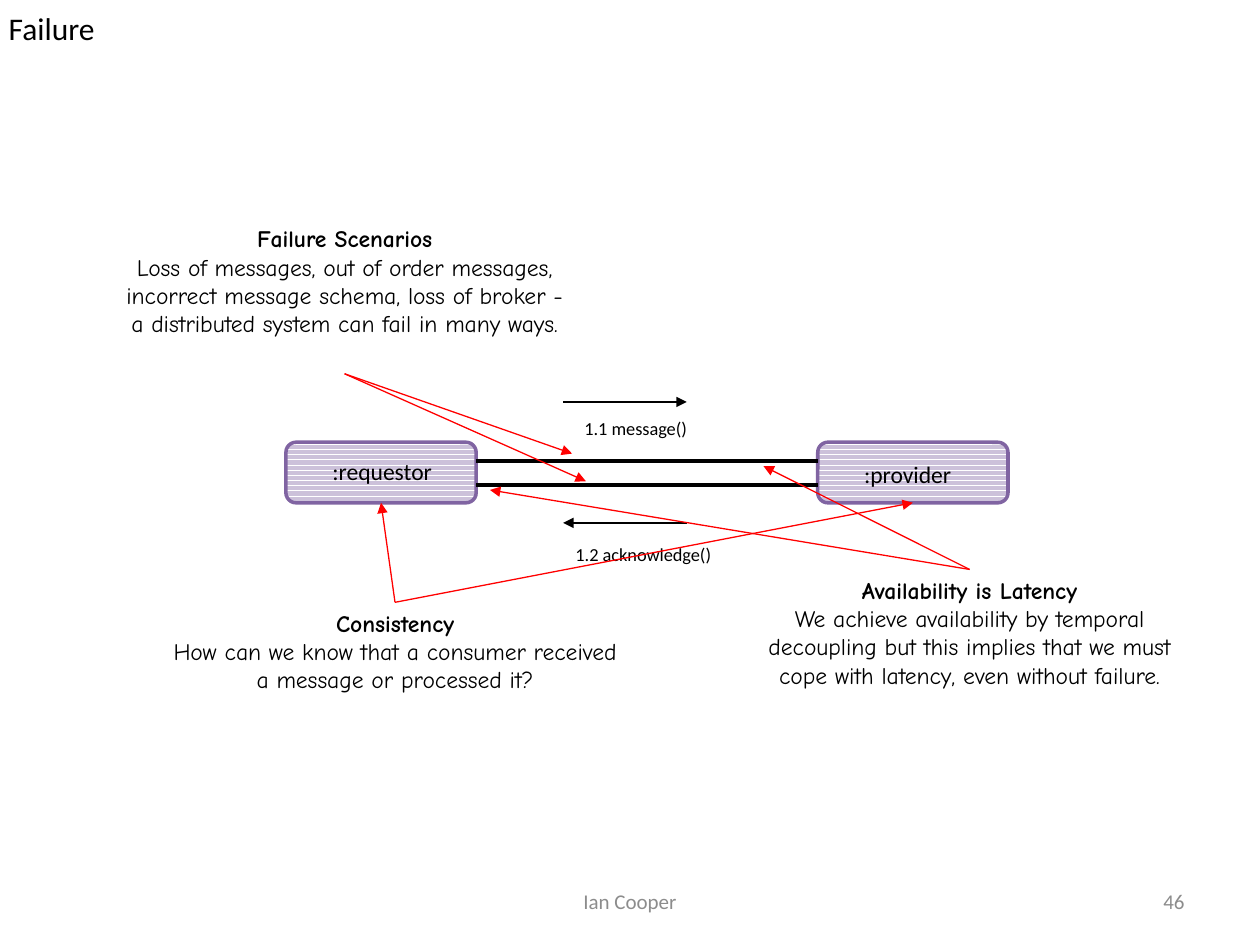
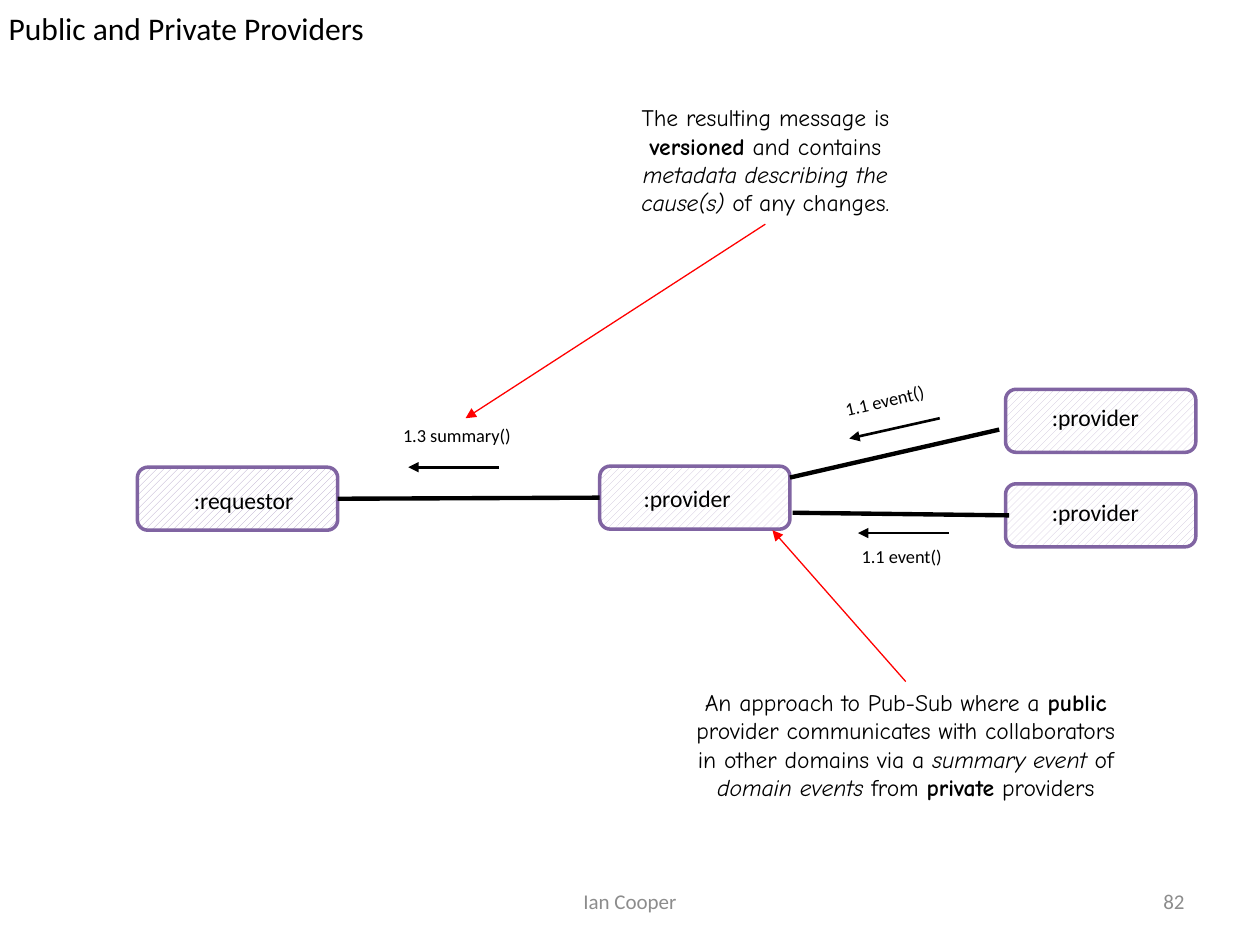
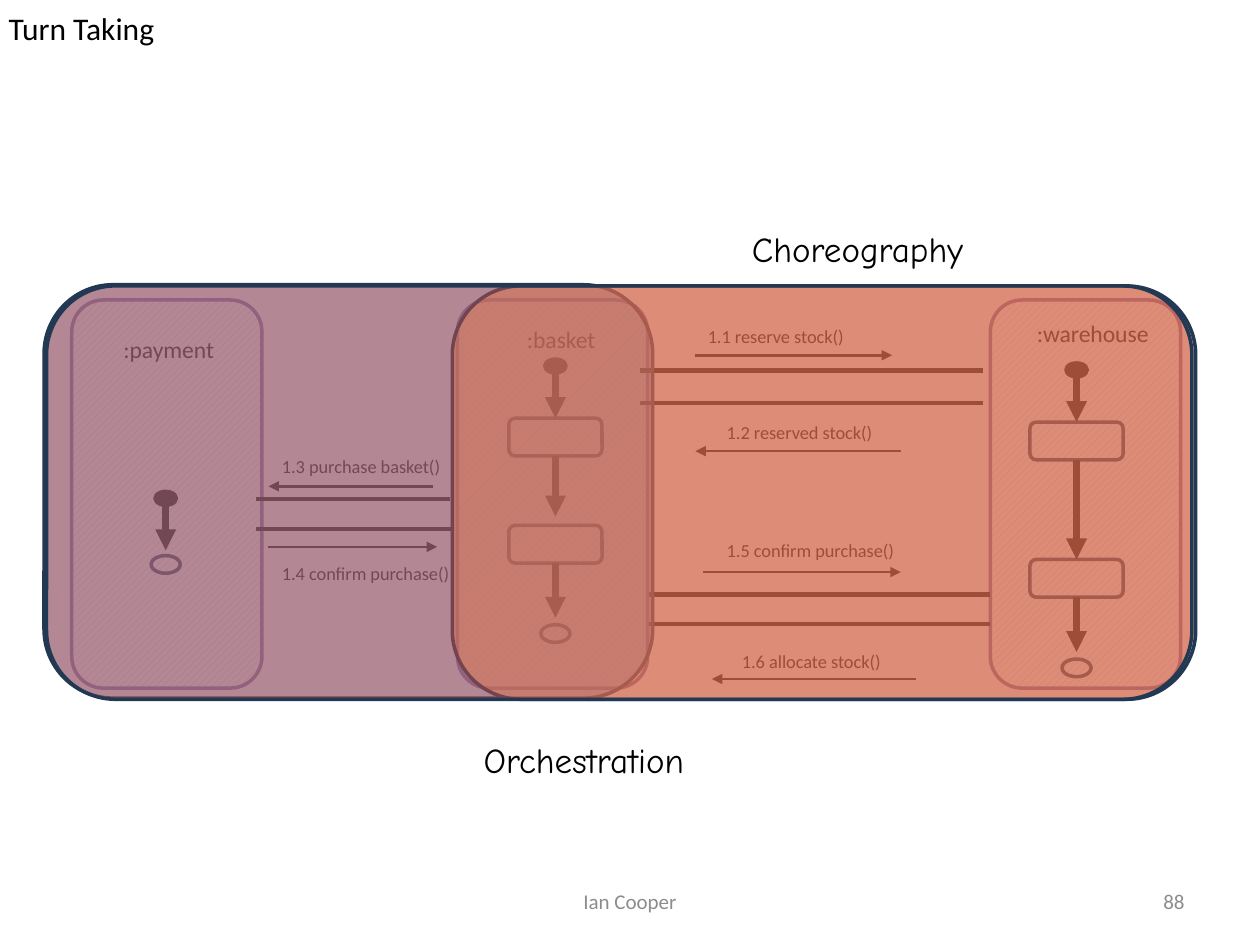
from dataclasses import dataclass
from typing import Any, NamedTuple, Optional, Union

from lxml.etree import SubElement
from pptx import Presentation
from pptx.dml.color import RGBColor
from pptx.enum.dml import MSO_PATTERN
from pptx.enum.shapes import MSO_CONNECTOR, MSO_SHAPE
from pptx.enum.text import MSO_ANCHOR, MSO_AUTO_SIZE, PP_ALIGN
from pptx.oxml.ns import qn
from pptx.util import Pt


@dataclass(frozen=True)
class Theme:
    font: str = "Calibri"
    note_font: str = "Comic Neue"
    black: str = "000000"
    grey: str = "8C8C8C"
    red: str = "FF0000"
    white: str = "FFFFFF"
    lilac: str = "CCC1DA"
    mid_lilac: str = "B3A2C7"
    purple: str = "8064A2"
    navy: str = "233953"
    blue: str = "4F81BD"
    orange: str = "F79646"
    brick: str = "C0504D"
    title_size: float = 18
    heading_size: float = 20
    body_size: float = 13.5
    footer_size: float = 12
    label_size: float = 10.5
    outline: float = 2
    link: float = 2.5
    message: float = 1.5
    pointer: float = 0.75
    flow: float = 4


T = Theme()
LABEL_H, NAME_H = 20.2, 23.8
NODE_W = 108.7
DOT, END, ACTION = (12.2, 7.9), (16.6, 10.1), (53.3, 21.6)
TOP, LEFT, BOTTOM, RIGHT = range(4)  # connection sites
STRIPES, HATCH = MSO_PATTERN.DARK_HORIZONTAL, MSO_PATTERN.WIDE_UPWARD_DIAGONAL


class Box(NamedTuple):
    x: float
    y: float
    w: float
    h: float


class Point(NamedTuple):
    x: float
    y: float


class Joint(NamedTuple):
    shape: Any
    site: int


class Run(NamedTuple):
    text: str
    bold: bool = False
    italic: bool = False


End = Union[Point, Joint]
Lines = list[list[Run]]


class Node(NamedTuple):
    name: str
    box: Box
    name_at: Box
    tint: str = T.lilac


class Message(NamedTuple):
    text: str
    at: Box
    start: Point
    end: Point
    turn: float = 0


class Activity(NamedTuple):
    centre: float
    start: float
    actions: tuple[float, ...]
    end: float
    gaps: tuple[float, ...]  # space left below each arrowhead


# ---- Formatting helpers ----

def rgb(color: str) -> RGBColor:
    return RGBColor.from_string(color)


def apply(obj: Any, values: dict[str, Any]) -> None:
    for name, value in values.items():
        setattr(obj, name, value)


def lengths(box: Box) -> list[Pt]:
    return [Pt(v) for v in box]


def write(tf: Any, lines: Lines, size: float, color: str = T.black,
          font: str = T.font, align: Optional[PP_ALIGN] = None) -> None:
    for i, runs in enumerate(lines):
        p = tf.add_paragraph() if i else tf.paragraphs[0]
        if align is not None:
            p.alignment = align
        for run in runs:
            r = p.add_run()
            r.text = run.text
            apply(r.font, {"name": font, "size": Pt(size),
                           "bold": run.bold, "italic": run.italic})
            r.font.color.rgb = rgb(color)


# ---- Drawing helpers ----

def text_box(s: Any, lines: Lines, box: Box, size: float, *, wrap: bool = True,
             grow: bool = True, anchor: MSO_ANCHOR = MSO_ANCHOR.TOP,
             **style: Any) -> Any:
    sp = s.shapes.add_textbox(*lengths(box))
    fit = MSO_AUTO_SIZE.SHAPE_TO_FIT_TEXT if grow else MSO_AUTO_SIZE.NONE
    apply(sp.text_frame, {"word_wrap": wrap, "auto_size": fit,
                          "vertical_anchor": anchor})
    write(sp.text_frame, lines, size, **style)
    return sp


def note(s: Any, lines: Lines, box: Box) -> Any:
    return text_box(s, lines, box, T.body_size, font=T.note_font,
                    align=PP_ALIGN.CENTER)


def heading(s: Any, text: str, x: float, y: float) -> None:
    text_box(s, [[Run(text)]], Box(x, y, 139, 31.7), T.heading_size,
             wrap=False, font=T.note_font)


def outlined(s: Any, kind: MSO_SHAPE, box: Box, line: str,
             fill: Optional[str] = None, opacity: int = 100,
             pattern: Optional[MSO_PATTERN] = None) -> Any:
    sp = s.shapes.add_shape(kind, *lengths(box))
    sp.shadow.inherit = False
    if fill is None:
        sp.fill.background()
    elif pattern is not None:
        sp.fill.patterned()
        sp.fill.pattern = pattern
        sp.fill.fore_color.rgb = rgb(fill)
        sp.fill.back_color.rgb = rgb(T.white)
    else:
        sp.fill.solid()
        sp.fill.fore_color.rgb = rgb(fill)
        if opacity < 100:
            clr = sp.element.spPr.find(qn("a:solidFill")).find(qn("a:srgbClr"))
            SubElement(clr, qn("a:alpha"), val=str(opacity * 1000))
    sp.line.color.rgb = rgb(line)
    sp.line.width = Pt(T.outline)
    return sp


def connect(s: Any, start: End, end: End, width: float,
            color: str = T.black, arrow: bool = True) -> None:
    a, b = (e if isinstance(e, Point) else Point(0, 0) for e in (start, end))
    c = s.shapes.add_connector(MSO_CONNECTOR.STRAIGHT, *map(Pt, (*a, *b)))
    if isinstance(start, Joint):
        c.begin_connect(*start)
    if isinstance(end, Joint):
        c.end_connect(*end)
    c.line.color.rgb = rgb(color)
    c.line.width = Pt(width)
    if arrow:
        SubElement(c.line._get_or_add_ln(), qn("a:tailEnd"), type="triangle")
    SubElement(c.element.spPr, qn("a:effectLst"))


def link(s: Any, start: End, end: End) -> None:
    connect(s, start, end, T.link, arrow=False)


def pointer(s: Any, start: End, end: End) -> None:
    connect(s, start, end, T.pointer, T.red)


def draw_node(s: Any, node: Node, pattern: MSO_PATTERN) -> Any:
    sp = outlined(s, MSO_SHAPE.ROUNDED_RECTANGLE, node.box, T.purple,
                  node.tint, pattern=pattern)
    text_box(s, [[Run(node.name)]], node.name_at, T.body_size)
    return sp


def draw_message(s: Any, m: Message) -> Any:
    connect(s, m.start, m.end, T.message)
    label = text_box(s, [[Run(m.text)]], m.at, T.label_size)
    label.rotation = m.turn
    return label


def draw_activity(s: Any, act: Activity) -> None:
    """Start dot, actions and end ring, with an arrow between neighbours."""
    def centred(top: float, size: tuple[float, float]) -> Box:
        return Box(act.centre - size[0] / 2, top, *size)

    outlined(s, MSO_SHAPE.OVAL, centred(act.start, DOT), T.black, T.black)
    actions = [outlined(s, MSO_SHAPE.ROUNDED_RECTANGLE, centred(top, ACTION), T.navy)
               for top in act.actions]
    outlined(s, MSO_SHAPE.OVAL, centred(act.end, END), T.navy)

    starts = [Point(act.centre, act.start + DOT[1])]
    starts += [Joint(a, BOTTOM) for a in actions]
    ends = [Joint(a, TOP) if gap == 0 else Point(act.centre, top - gap)
            for a, top, gap in zip(actions, act.actions, act.gaps)]
    ends.append(Point(act.centre, act.end - act.gaps[-1]))
    for start, end in zip(starts, ends):
        connect(s, start, end, T.flow)


def new_slide(prs: Any, title: str, number: int) -> Any:
    """Slide with the shared title, footer and page number."""
    s = prs.slides.add_slide(prs.slide_layouts[5])
    sp = s.shapes.title
    apply(sp, dict(zip(("left", "top", "width", "height"),
                       lengths(Box(0, 0, 720, 32.4)))))
    tf = sp.text_frame
    margins = ("margin_left", "margin_top", "margin_right", "margin_bottom")
    apply(tf, dict.fromkeys(margins, Pt(5)))
    apply(tf, {"vertical_anchor": MSO_ANCHOR.TOP, "word_wrap": True,
               "auto_size": MSO_AUTO_SIZE.SHAPE_TO_FIT_TEXT})
    write(tf, [[Run(title)]], T.title_size, align=PP_ALIGN.LEFT)

    for text, x, w, align in (("Ian Cooper", 246, 228, PP_ALIGN.CENTER),
                              (str(number), 516, 168, PP_ALIGN.RIGHT)):
        text_box(s, [[Run(text)]], Box(x, 500.5, w, 28.8), T.footer_size, grow=False,
                 anchor=MSO_ANCHOR.MIDDLE, color=T.grey, align=align)
    return s


# ---- Slides ----

def failure_slide(prs: Any) -> None:
    s = new_slide(prs, "Failure", 46)
    left, right, top = 163.4, 467.3, 252.7
    requestor, provider = (draw_node(s, n, STRIPES) for n in (
        Node(":requestor", Box(left, top, NODE_W, 34.6), Box(182.9, 257.8, 74.9, NAME_H)),
        Node(":provider", Box(right, top, NODE_W, 34.6), Box(486.7, 259.2, 69.1, NAME_H)),
    ))
    for y in (263.5, 277.2):
        link(s, Point(left + NODE_W, y), Point(right, y))
    for m in (
        Message("1.1 message()", Box(326.9, 234.7, 82.1, LABEL_H),
                Point(321.8, 229.7), Point(392.4, 229.7)),
        Message("1.2 acknowledge()", Box(321.8, 306.7, 93.6, LABEL_H),
                Point(392.4, 298.8), Point(321.8, 298.8)),
    ):
        draw_message(s, m)

    # Notes, each pointing at two places
    for head, body, box, site, targets in (
        ("Consistency",
         "How can we know that a consumer received a message or processed it?",
         Box(88.6, 344.2, 274.3, 56.2), TOP,
         (Joint(requestor, BOTTOM), Joint(provider, BOTTOM))),
        ("Failure Scenarios",
         "Loss of messages, out of order messages, incorrect message schema, "
         "loss of broker - a distributed system can fail in many ways.",
         Box(59.8, 124.6, 274.3, 89), BOTTOM,
         (Point(326.9, 259.2), Point(334.8, 275))),
        ("Availability is Latency",
         "We achieve availability by temporal decoupling but this implies that "
         "we must cope with latency, even without failure.",
         Box(416.9, 325.4, 274.3, 72.7), TOP,
         (Point(436.3, 266.4), Point(280, 280))),
    ):
        sp = note(s, [[Run(head, bold=True)], [Run(body)]], box)
        for target in targets:
            pointer(s, Joint(sp, site), target)


def providers_slide(prs: Any) -> None:
    s = new_slide(prs, "Public and Private Providers", 82)
    requestor, public, *_ = [draw_node(s, n, HATCH) for n in (
        Node(":requestor", Box(78.5, 267, 114.5, 36),
             Box(103.7, 274.3, 78.5, NAME_H), T.mid_lilac),
        Node(":provider", Box(342.7, 266.4, NODE_W, 36), Box(360.7, 272.9, 69.1, NAME_H)),
        Node(":provider", Box(574.6, 276.5, NODE_W, 36), Box(594, 280.8, 69.1, NAME_H)),
        Node(":provider", Box(574.6, 222.5, NODE_W, 36), Box(594, 226.8, 69.1, NAME_H)),
    )]
    link(s, Joint(requestor, RIGHT), Joint(public, LEFT))
    link(s, Point(452.9, 293), Point(576.7, 294.5))
    link(s, Point(451.4, 272.9), Point(571, 245.5))

    summary, *_ = [draw_message(s, m) for m in (
        Message("1.3 summary()", Box(223.2, 239, 85.7, LABEL_H),
                Point(285, 267), Point(233.3, 267)),
        Message("1.1 event()", Box(485.3, 308.2, 85.7, LABEL_H),
                Point(542.2, 304.6), Point(490.3, 304.6)),
        Message("1.1 event()", Box(475.2, 216, 85.7, LABEL_H),
                Point(537, 239), Point(485.3, 250.6), -13.1),
    )]

    approach = note(s, [[
        Run("An approach to Pub-Sub where a "), Run("public", bold=True),
        Run(" provider communicates with collaborators in other domains via a "),
        Run("summary event ", italic=True), Run("of "),
        Run("domain events", italic=True), Run(" from "),
        Run("private", bold=True), Run(" providers"),
    ]], Box(388, 389.5, 259.2, 89.3))
    result = note(s, [[
        Run("The resulting message is "), Run("versioned", bold=True),
        Run(" and contains "),
        Run("metadata describing the cause(s)", italic=True),
        Run(" of any changes."),
    ]], Box(347, 55.4, 180.7, 72.7))
    pointer(s, Joint(approach, TOP), Point(441.4, 303))
    pointer(s, Joint(result, BOTTOM), Joint(summary, TOP))


def turn_taking_slide(prs: Any) -> None:
    s = new_slide(prs, "Turn Taking", 88)

    # Participants
    for name, x, name_x, name_y, name_w in (
        (":payment", 41, 63.4, 187.9, 69.8),
        (":basket", 261.4, 294, 182, 69.8),
        (":warehouse", 565.9, 585.4, 178.6, 81.4),
    ):
        draw_node(s, Node(name, Box(x, 171.4, NODE_W, 221.8),
                          Box(name_x, name_y, name_w, NAME_H)), HATCH)

    # Channels and the messages on them
    for x1, x2, y in ((365.8, 561.6, 211.7), (365.8, 561.6, 230.4),
                      (370.8, 565.9, 339.8), (370.8, 565.9, 356.4),
                      (146.2, 257, 285), (146.2, 258.5, 302.4)):
        link(s, Point(x1, y), Point(x2, y))
    for text, x, y, x1, x2, arrow_y in (
        ("1.1 reserve stock()", 397.4, 182.2, 397.4, 509.8, 203),
        ("1.2 reserved stock()", 408.2, 236.9, 514.8, 397.4, 257.8),
        ("1.3 purchase basket()", 154, 256.3, 247.7, 153.4, 277.9),
        ("1.4 confirm purchase()", 154, 317.5, 153.4, 249.8, 312.5),
        ("1.5 confirm purchase()", 408.2, 304.6, 401.8, 514.8, 326.9),
        ("1.6 allocate stock()", 416.9, 367.9, 523.4, 406.8, 388),
    ):
        draw_message(s, Message(text, Box(x, y, 120.2, LABEL_H),
                                Point(x1, arrow_y), Point(x2, arrow_y)))

    for act in (
        Activity(94.7, 280.8, (), 317.5, (3,)),
        Activity(317.4, 205.2, (239, 300.2), 357, (0, 5, 4)),
        Activity(615.2, 207.4, (241.2, 319.7), 376.6, (0, 0, 4)),
    ):
        draw_activity(s, act)

    # Translucent scopes over the participants
    for x, y, w, fill in ((25.2, 162.7, 347.8, T.blue),
                          (258.5, 163.4, 424.8, T.orange),
                          (26.6, 163.4, 654.5, T.brick)):
        outlined(s, MSO_SHAPE.ROUNDED_RECTANGLE, Box(x, y, w, 236.2),
                 T.navy, fill, opacity=50)
    heading(s, "Orchestration", 269.3, 418.3)
    heading(s, "Choreography", 422.6, 126.7)


def main() -> None:
    prs = Presentation()
    prs.slide_width, prs.slide_height = Pt(720), Pt(540)
    failure_slide(prs)
    providers_slide(prs)
    turn_taking_slide(prs)
    prs.save("out.pptx")


if __name__ == "__main__":
    main()
